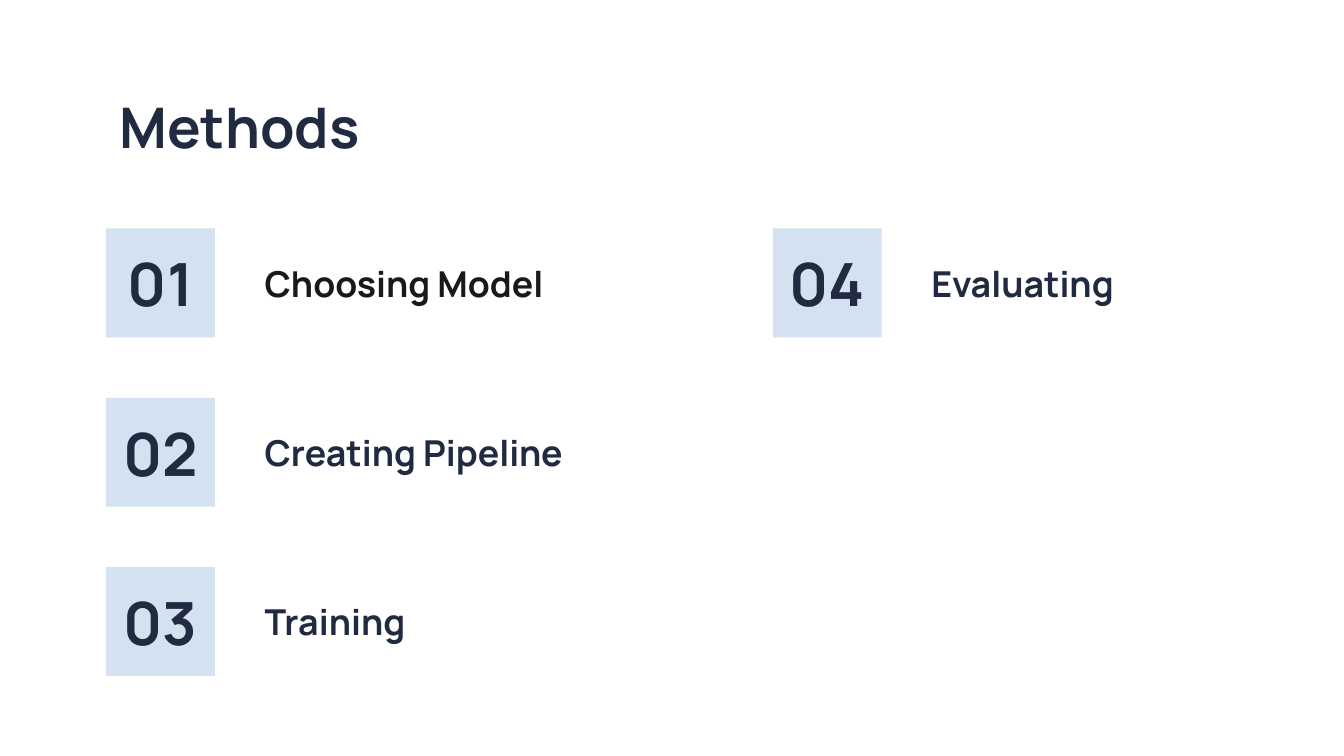
"""Build the Methods slide: a title and four numbered steps."""
from dataclasses import dataclass

from pptx import Presentation
from pptx import util as u
from pptx.dml import color
from pptx.enum import shapes, text


@dataclass(frozen=True)
class Theme:
    font: str = "Manrope"
    navy: str = "202A41"
    black: str = "191919"
    pale_blue: str = "D3E1F1"
    title_size: float = 30
    number_size: float = 31.9
    step_size: float = 19.1


theme = Theme()


def write(box, wording, size, ink, inset, anchor, align):
    frame = box.text_frame
    frame.word_wrap = True
    frame.vertical_anchor = anchor
    frame.margin_left = frame.margin_right = u.Inches(inset)
    frame.margin_top = frame.margin_bottom = u.Inches(inset)
    paragraph = frame.paragraphs[0]
    paragraph.alignment = align
    run = paragraph.add_run()
    run.text = wording
    run.font.name = theme.font
    run.font.size = u.Pt(size)
    run.font.bold = True
    run.font.color.rgb = color.RGBColor.from_string(ink)


deck = Presentation()
deck.slide_width = u.Inches(10)
deck.slide_height = u.Inches(10 * 9 / 16)
slide = deck.slides.add_slide(deck.slide_layouts[6])

title = slide.shapes.add_textbox(u.Inches(0.79), u.Inches(0.59), u.Inches(8.43), u.Inches(0.63))
write(title, "Methods", theme.title_size, theme.navy, 0.1,
      text.MSO_ANCHOR.TOP, text.PP_ALIGN.LEFT)

steps = [
    ("Choosing Model", theme.black),
    ("Creating Pipeline", theme.navy),
    ("Training", theme.navy),
    ("Evaluating", theme.navy),
]
rows_per_column = 3
tile_side = u.Inches(0.81)

for index, (step, ink) in enumerate(steps):
    column, row = divmod(index, rows_per_column)
    left = u.Inches(0.79 + 4.96 * column)
    top = u.Inches(1.7 + 1.26 * row)

    number = slide.shapes.add_shape(shapes.MSO_SHAPE.RECTANGLE, left, top, tile_side, tile_side)
    number.shadow.inherit = False
    number.fill.solid()
    number.fill.fore_color.rgb = color.RGBColor.from_string(theme.pale_blue)
    number.line.fill.background()
    write(number, f"{index + 1:02}", theme.number_size, theme.navy, 0.11,
          text.MSO_ANCHOR.MIDDLE, text.PP_ALIGN.CENTER)

    label = slide.shapes.add_textbox(left + u.Inches(1.07), top, u.Inches(2.66), tile_side)
    write(label, step, theme.step_size, ink, 0.11,
          text.MSO_ANCHOR.MIDDLE, text.PP_ALIGN.LEFT)

deck.save("out.pptx")
